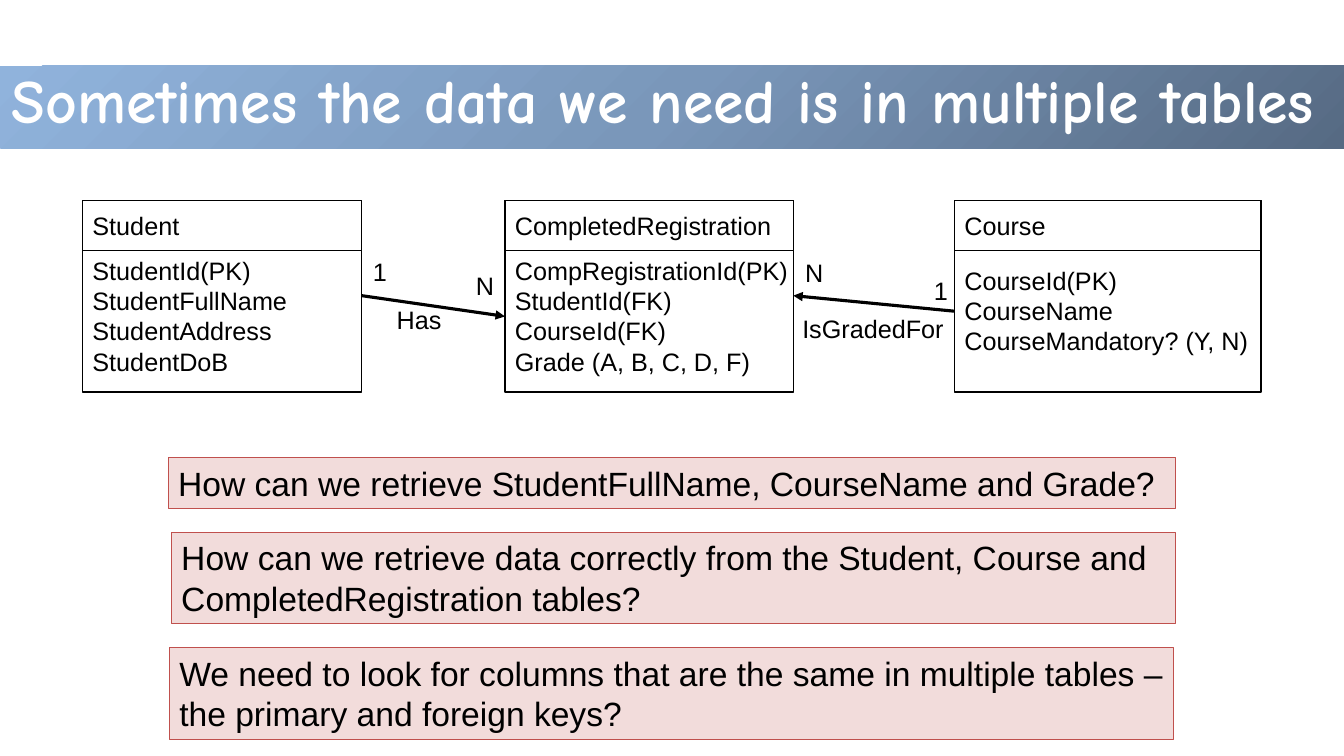
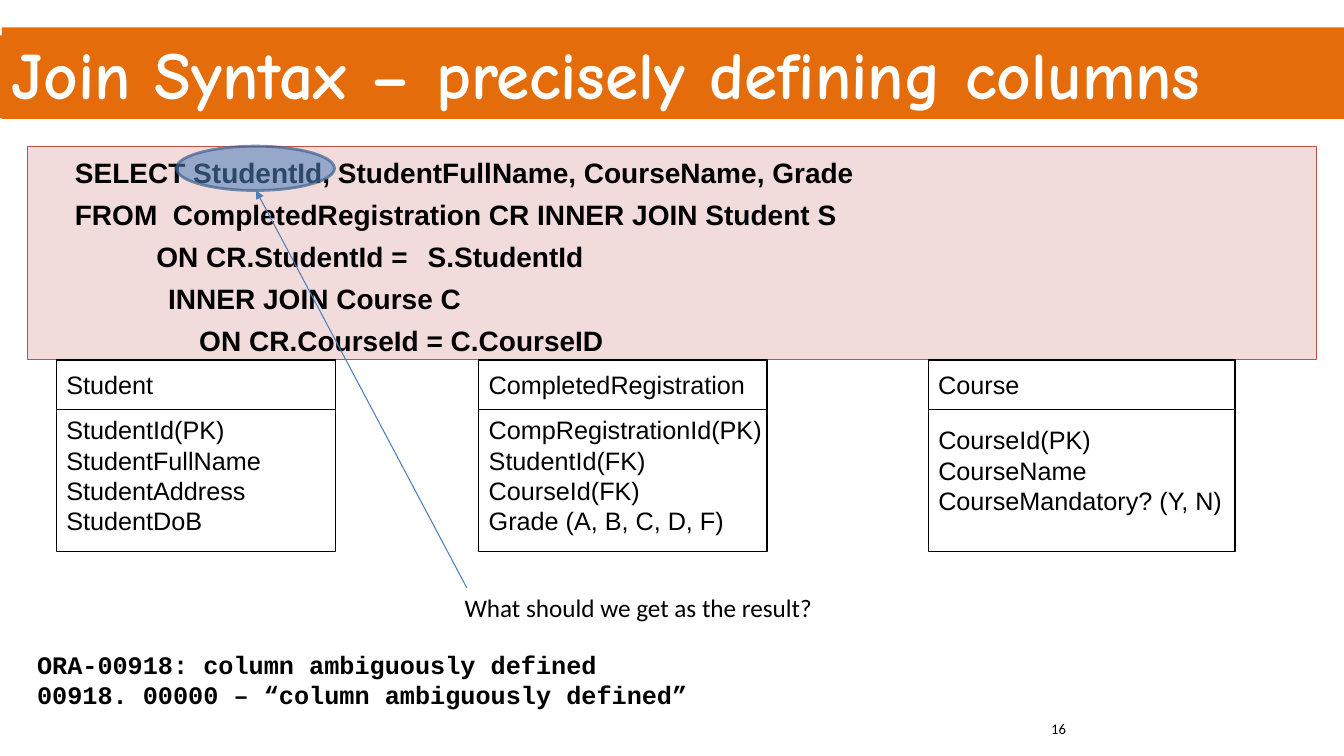
from lxml import etree
from pptx import Presentation
from pptx.dml.color import RGBColor
from pptx.enum import shapes, text
from pptx.oxml import parse_xml
from pptx.oxml.ns import nsdecls, qn
from pptx.util import Pt


class Theme:
    black, white = "000000", "FFFFFF"
    orange, pink, red = "E46C0A", "F2DCDB", "C0504D"
    blue, outline, arrow = "4F81BD", "3A5F8C", "4B7EBC"
    gradient = ((0, "566A83"), (50, "7A97BA"), (100, "90B3DC"))
    body, heading, note, mono = "Arial", "Comic Neue", "Calibri", "Courier New"
    small, label, code, question, title, big_title = 10.5, 18, 20, 24, 44, 48


def add_box(parent, x, y, w, h, lines=(), fill=None, line=None, weight=0.75,
            kind=shapes.MSO_SHAPE.RECTANGLE, middle=False, **font):
    """Add a shape, or a plain text box when it has neither fill nor line."""
    if fill or line:
        sp = parent.add_shape(kind, Pt(x), Pt(y), Pt(w), Pt(h))
        sp.shadow.inherit = False
        sp.fill.solid()
        sp.fill.fore_color.rgb = RGBColor.from_string(fill)
        if line:
            sp.line.color.rgb = RGBColor.from_string(line)
            sp.line.width = Pt(weight)
        else:
            sp.line.fill.background()
    else:
        sp = parent.add_textbox(Pt(x), Pt(y), Pt(w), Pt(h))
    tf = sp.text_frame
    tf.word_wrap = True
    tf.vertical_anchor = text.MSO_ANCHOR.MIDDLE if middle else text.MSO_ANCHOR.TOP
    style = {"name": Theme.body, "size": Theme.label, "bold": False, "color": Theme.black} | font
    color = RGBColor.from_string(style.pop("color"))
    style["size"] = Pt(style["size"])
    for i, content in enumerate(lines):
        p = tf.add_paragraph() if i else tf.paragraphs[0]
        p.alignment = text.PP_ALIGN.LEFT
        r = p.add_run()
        r.text = content
        for key, value in style.items():
            setattr(r.font, key, value)
        r.font.color.rgb = color
    return sp


def add_arrow(parent, start, end, color, weight):
    cxn = parent.add_connector(shapes.MSO_CONNECTOR.STRAIGHT, *map(Pt, start + end))
    cxn.line.color.rgb = RGBColor.from_string(color)
    cxn.line.width = Pt(weight)
    etree.SubElement(cxn.line._get_or_add_ln(), qn("a:tailEnd"), type="triangle")
    etree.SubElement(cxn._element.spPr, qn("a:effectLst"))


prs = Presentation()
prs.slide_width, prs.slide_height = Pt(960), Pt(540)
tables, join = [prs.slides.add_slide(prs.slide_layouts[6]).shapes for _ in range(2)]

# Title bands
bands = [
    (tables, "Sometimes the data we need is in multiple tables", Theme.title, 46.8, 41, 60.5, None),
    (join, "Join Syntax – precisely defining columns", Theme.big_title, 25.2, 19.5, 65.5, Theme.orange),
]
for s, title, size, band_y, title_y, title_h, fill in bands:
    band = add_box(s, 0, band_y, 960, 59, fill=fill or Theme.blue)
    if not fill:
        stops = "".join(f'<a:gs pos="{pos * 1000}"><a:srgbClr val="{color}"/></a:gs>'
                        for pos, color in Theme.gradient)
        solid = band._element.spPr.find(qn("a:solidFill"))
        solid.getparent().replace(solid, parse_xml(
            f'<a:gradFill {nsdecls("a")} rotWithShape="1"><a:gsLst>{stops}</a:gsLst>'
            '<a:path path="circle"><a:fillToRect l="100000" t="100000"/></a:path></a:gradFill>'))
    add_box(s, 1.4, title_y, 958.6, title_h, [title], fill=fill,
            name=Theme.heading, size=size, bold=True, color=Theme.white)

# SQL statement
sql = [
    "SELECT StudentId, StudentFullName, CourseName, Grade",
    "FROM  CompletedRegistration CR INNER JOIN Student S",
    "\t    ON CR.StudentId = \tS.StudentId",
    "            INNER JOIN Course C",
    "                ON CR.CourseId = C.CourseID",
]
statement = add_box(join, 19.4, 104.4, 921, 152.6, sql, fill=Theme.pink, line=Theme.red,
                    size=Theme.code, bold=True)
statement.text_frame.margin_top = Pt(6.6)
for i, p in enumerate(statement.text_frame.paragraphs):
    p.space_before, p.space_after = Pt(3 if i else 0), Pt(3)
    pPr = p._p.get_or_add_pPr()
    pPr.set("marL", str(Pt(27)))
    pPr.set("indent", "0")
    tabs = etree.SubElement(pPr, qn("a:tabLst"))
    etree.SubElement(tabs, qn("a:tab"), pos=str(Pt(108)), algn="l")

# Entities: horizontal offset, width, top of the fields, name, fields
entities = [
    (0, 199.4, 35.5, "Student",
     ["StudentId(PK)", "StudentFullName", "StudentAddress", "StudentDoB"]),
    (622.8, 219, 42.6, "Course",
     ["CourseId(PK)", "CourseName", "CourseMandatory? (Y, N)"]),
    (301.7, 206, 35.5, "CompletedRegistration",
     ["CompRegistrationId(PK)", "StudentId(FK)", "CourseId(FK)", "Grade (A, B, C, D, F)"]),
]
for s, left, top in [(tables, 59, 143.3), (join, 40.3, 257.2)]:
    for dx, width, fields_y, name, fields in entities:
        entity = s.add_group_shape().shapes
        frame = {"fill": Theme.white, "line": Theme.black, "weight": 1}
        add_box(entity, left + dx, top, width, 136.8, **frame)
        add_box(entity, left + dx, top, width, 35.5, [name], middle=True, **frame)
        add_box(entity, left + dx, top + fields_y, width + 12,
                7.2 + 21.75 * len(fields), fields)

# Relationships
add_arrow(tables, (258.4, 211.2), (360.7, 226), Theme.black, 2.25)
add_arrow(tables, (681.8, 222.3), (566.7, 211.2), Theme.black, 2.25)
relationship_labels = [
    ("IsGradedFor", 566, 220.5, 128), ("Has", 276.3, 214, 49),
    ("1", 660, 193, 25), ("N", 568, 180.5, 30),
    ("N", 332.8, 189.5, 30), ("1", 259.2, 179.5, 25),
]
for label, x, y, width in relationship_labels:
    add_box(tables, x, y, width, 29, [label])

# Questions
questions = [
    ("How can we retrieve StudentFullName, CourseName and Grade?", 120.2, 326.9, 719.6, 36.3),
    ("How can we retrieve data correctly from the Student, Course and "
     "CompletedRegistration tables?", 122.4, 380.2, 717.4, 65.4),
    ("We need to look for columns that are the same in multiple tables – "
     "the primary and foreign keys?", 121, 462.7, 717.4, 65.4),
]
for question, *place in questions:
    add_box(tables, *place, [question], fill=Theme.pink, line=Theme.red, size=Theme.question)

# Result of the join
add_box(join, 743.8, 510.5, 216, 29, ["16"], name=Theme.note, size=Theme.small)
add_box(join, 324.7, 419.8, 265, 29, ["What should we get as the result?"], name=Theme.note)
add_box(join, 19.4, 460, 557, 51,
        ["ORA-00918: column ambiguously defined",
         "00918. 00000 – “column ambiguously defined”"], name=Theme.mono, bold=True)
highlight = add_box(join, 126, 104.4, 113, 31.7, fill=Theme.blue, line=Theme.outline,
                    weight=2, kind=shapes.MSO_SHAPE.OVAL)
for color, opacity in zip(highlight._element.spPr.iter(qn("a:srgbClr")), (57, 68)):
    etree.SubElement(color, qn("a:alpha"), val=str(opacity * 1000))
add_arrow(join, (333.4, 419.8), (182.9, 136.1), Theme.arrow, 0.75)

prs.save("out.pptx")
